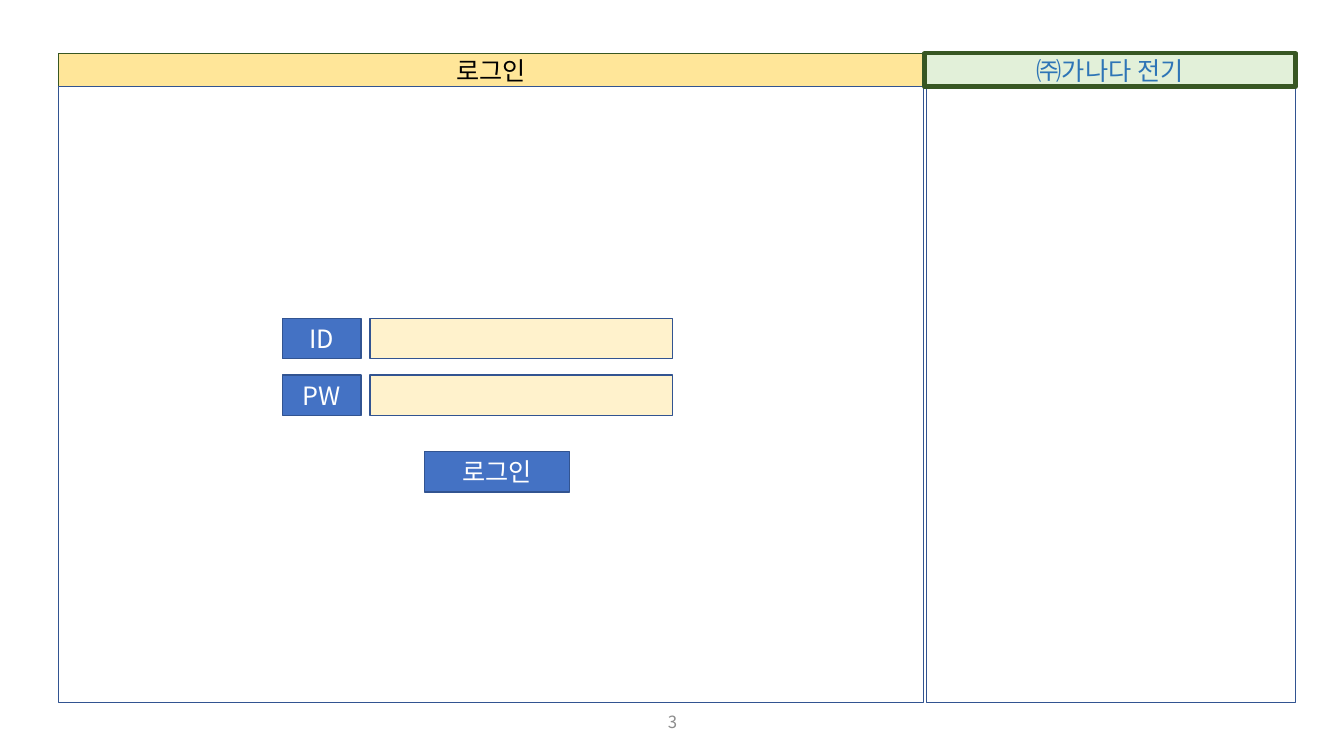
from pptx import Presentation, util as u
from pptx.dml.color import RGBColor
from pptx.enum import shapes, text
from pptx.oxml.ns import qn
from lxml import etree


def rgb(value):
    return RGBColor.from_string(value)


class Screen:
    font = "Noto Sans CJK KR"
    navy, green, blue = "325491", "385723", "4472C4"
    cream, white = "FFF2CC", "FFFFFF"

    def __init__(self, prs):
        self.s = prs.slides.add_slide(prs.slide_layouts[5])

    def set_words(self, sp, words, color, size=18):
        tf = sp.text_frame
        frame = {"word_wrap": True, "auto_size": text.MSO_AUTO_SIZE.NONE,
                 "vertical_anchor": text.MSO_ANCHOR.MIDDLE}
        for name, value in frame.items():
            setattr(tf, name, value)
        p = tf.paragraphs[0]
        p.alignment = text.PP_ALIGN.CENTER
        r = p.add_run()
        r.text = words
        for name, value in {"size": u.Pt(size), "name": self.font, "bold": False}.items():
            setattr(r.font, name, value)
        r.font.color.rgb = rgb(color)
        etree.SubElement(r._r.get_or_add_rPr(), qn("a:ea"), typeface=self.font)

    def paint(self, sp, fill, line, width):
        if fill:
            sp.fill.solid()
            sp.fill.fore_color.rgb = rgb(fill)
        else:
            sp.fill.background()
        sp.line.color.rgb = rgb(line)
        sp.line.width = u.Pt(width)

    def title(self, box, words, fill, line, color):
        sp = self.s.shapes.title
        for name, value in zip(("left", "top", "width", "height"), box):
            setattr(sp, name, u.Inches(value))
        self.paint(sp, fill, line, 1)
        self.set_words(sp, words, color)

    def box(self, box, fill=None, words=None, color=white, line=navy, width=1):
        sp = self.s.shapes.add_shape(shapes.MSO_SHAPE.RECTANGLE, *map(u.Inches, box))
        sp.shadow.inherit = False
        self.paint(sp, fill, line, width)
        if words:
            self.set_words(sp, words, color)

    def label(self, box, words, color, size):
        sp = self.s.shapes.add_textbox(*map(u.Inches, box))
        self.set_words(sp, words, color, size)


def main():
    prs = Presentation()
    prs.slide_width, prs.slide_height = u.Inches(13.33), u.Inches(7.5)
    screen = Screen(prs)

    for left, width in ((0.58, 8.58), (9.19, 3.66)):
        screen.box((left, 0.86, width, 6.11))
    screen.title((0.58, 0.53, 8.58, 0.33), "로그인", "FFE699", screen.green, "000000")
    screen.box((9.17, 0.53, 3.68, 0.33), "E2F0D9", "㈜가나다 전기", "2E75B6",
               screen.green, 3)

    for row, name in enumerate(("ID", "PW")):
        top = 3.16 + 0.56 * row
        screen.box((2.8, top, 0.78, 0.4), screen.blue, name)
        screen.box((3.67, top, 3, 0.4), screen.cream)
    screen.box((4.21, 4.48, 1.44, 0.4), screen.blue, "로그인")

    screen.label((5.17, 6.96, 3, 0.4), "3", "8C8C8C", 12)
    prs.save("out.pptx")


if __name__ == "__main__":
    main()
